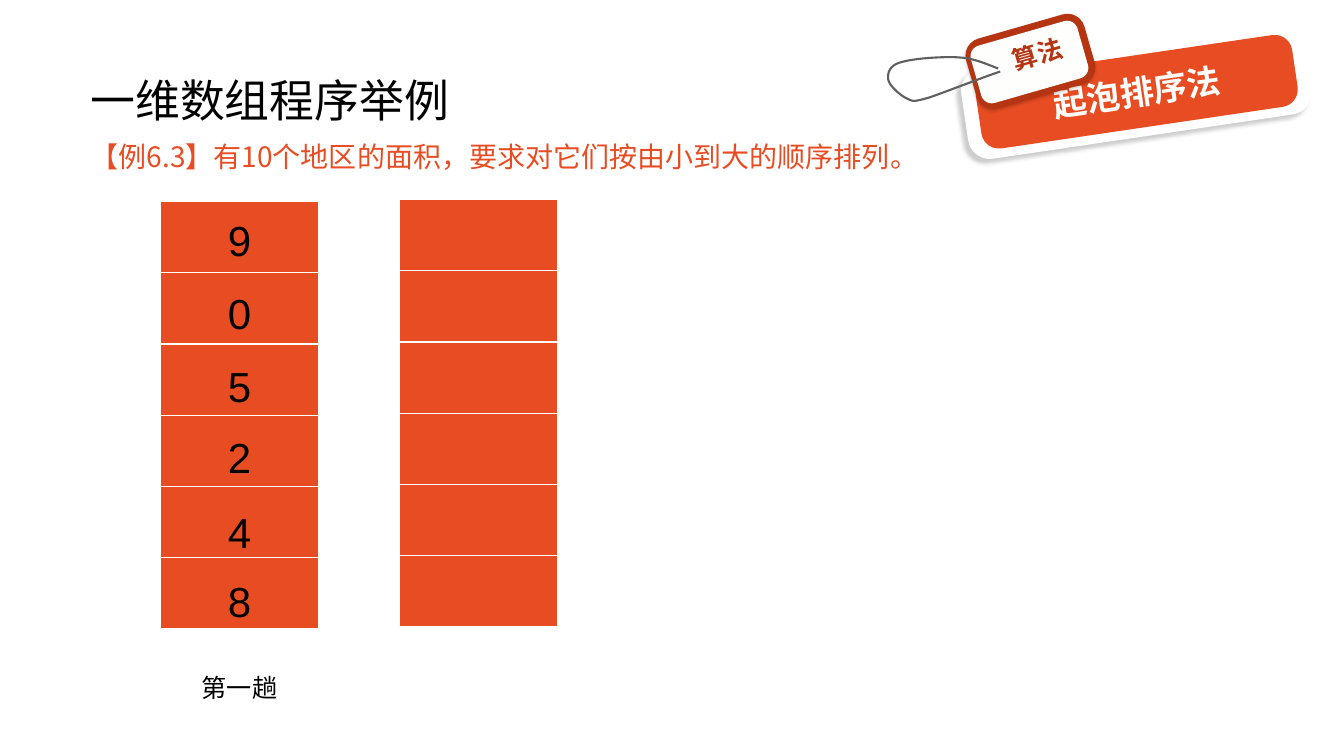
from dataclasses import dataclass
from typing import Optional

from lxml import etree
from pptx import Presentation
from pptx import util as u
from pptx.dml.color import RGBColor
from pptx.enum import shapes, text
from pptx.oxml import ns
from pptx.shapes.autoshape import Shape
from pptx.shapes.shapetree import GroupShapes, SlideShapes
from pptx.text.text import TextFrame

PX = u.Inches(1) // 100
BLACK = RGBColor(0x00, 0x00, 0x00)
WHITE = RGBColor(0xFF, 0xFF, 0xFF)
PAPER = RGBColor(0xFE, 0xFE, 0xFD)
ORANGE = RGBColor(0xE8, 0x4C, 0x22)
RUST = RGBColor(0xB5, 0x35, 0x13)
GREY = RGBColor(0x5F, 0x5F, 0x5F)
HAN = "Noto Sans CJK SC"
LATIN = "Arial"
LEFT, CENTER = text.PP_ALIGN.LEFT, text.PP_ALIGN.CENTER
TOP, MIDDLE = text.MSO_ANCHOR.TOP, text.MSO_ANCHOR.MIDDLE

Box = tuple[int, int, int, int]


@dataclass(frozen=True)
class Words:
    content: str
    size: int
    color: RGBColor
    font: str = HAN
    bold: bool = False
    align: text.PP_ALIGN = CENTER
    anchor: text.MSO_ANCHOR = MIDDLE
    spacing: float = 1.0
    hanging: int = 0


@dataclass(frozen=True)
class Shadow:
    blur: int
    distance: int
    angle: int


@dataclass(frozen=True)
class Plate:
    box: Box
    fill: RGBColor
    rotation: float = 0
    corner: Optional[float] = None
    shadow: Optional[Shadow] = None
    words: Optional[Words] = None
    insets: Box = (0, 0, 0, 0)


TITLE = Words("一维数组程序举例", 32, BLACK, align=LEFT, spacing=0.9)
TASK = Words("【例6.3】有10个地区的面积，要求对它们按由小到大的顺序排列。", 20, ORANGE,
             align=LEFT, anchor=TOP, spacing=1.2, hanging=10)
PASS_NAME = Words("第一趟", 18, BLACK, LATIN, anchor=TOP)
DIGIT_TOPS = {"9": 208, "0": 280, "5": 353, "2": 423, "4": 498, "8": 566}
COLUMNS: list[Box] = [(159, 200, 157, 424), (396, 198, 157, 424)]
CELL_COUNT = 6

BADGE = [
    Plate((955, 46, 344, 90), WHITE, 351.6, 0.242, Shadow(3, 4, 135)),
    Plate((969, 55, 317, 72), ORANGE, 351.6, 0.242,
          words=Words("起泡排序法", 24, PAPER, bold=True)),
    Plate((961, 25, 122, 72), RUST, 344, 0.242, Shadow(2, 1, 100)),
    Plate((966, 32, 110, 59), PAPER, 344, 0.182,
          words=Words("算法", 18, RUST, bold=True), insets=(20, 0, 0, 12)),
    Plate((975, 62, 18, 18), WHITE),
]
STRING_START = (990, 68)
STRING_CURVES = [
    ((979, 64), (967, 58), (951, 57)),
    ((935, 56), (905, 58), (893, 62)),
    ((882, 65), (880, 73), (881, 79)),
    ((882, 85), (893, 95), (900, 98)),
    ((906, 101), (906, 101), (921, 97)),
    ((936, 92), (966, 80), (992, 71)),
]
CURVE_STEPS = 12


def scaled(box: Box) -> list[int]:
    return [length * PX for length in box]


def write(frame: TextFrame, words: Words) -> None:
    frame.word_wrap = True
    frame.vertical_anchor = words.anchor
    paragraph = frame.paragraphs[0]
    paragraph.text = words.content
    paragraph.alignment = words.align
    paragraph.line_spacing = words.spacing
    font = paragraph.font
    font.size = u.Pt(words.size)
    font.bold = words.bold
    font.color.rgb = words.color
    font.name = words.font
    properties = paragraph._p.pPr
    if words.hanging:
        properties.set("marL", str(words.hanging * PX))
        properties.set("indent", str(-words.hanging * PX))
    defaults = properties.find(ns.qn("a:defRPr"))
    etree.SubElement(defaults, ns.qn("a:ea"), typeface=HAN)


def add_words(tree: SlideShapes, box: Box, words: Words, grow: bool = False) -> None:
    frame = tree.add_textbox(*scaled(box)).text_frame
    write(frame, words)
    if grow:
        frame.auto_size = text.MSO_AUTO_SIZE.SHAPE_TO_FIT_TEXT


def cast_shadow(shape: Shape, shadow: Shadow) -> None:
    effects = shape.element.spPr.find(ns.qn("a:effectLst"))
    outer = etree.SubElement(
        effects, ns.qn("a:outerShdw"), blurRad=str(u.Pt(shadow.blur)),
        dist=str(u.Pt(shadow.distance)), dir=str(shadow.angle * 60000),
        algn="ctr", rotWithShape="0")
    color = etree.SubElement(outer, ns.qn("a:srgbClr"), val=str(BLACK))
    etree.SubElement(color, ns.qn("a:alpha"), val="20000")


def add_plate(tree: GroupShapes, plate: Plate) -> None:
    rounded = plate.corner is not None
    kind = shapes.MSO_SHAPE.ROUNDED_RECTANGLE if rounded else shapes.MSO_SHAPE.OVAL
    shape = tree.add_shape(kind, *scaled(plate.box))
    if rounded:
        shape.adjustments[0] = plate.corner
    shape.rotation = plate.rotation
    shape.fill.solid()
    shape.fill.fore_color.rgb = plate.fill
    shape.line.fill.background()
    shape.shadow.inherit = False
    if plate.shadow:
        cast_shadow(shape, plate.shadow)
    if plate.words:
        frame = shape.text_frame
        (frame.margin_left, frame.margin_top,
         frame.margin_right, frame.margin_bottom) = scaled(plate.insets)
        write(frame, plate.words)


def add_string(tree: GroupShapes) -> None:
    points = []
    start = STRING_START
    for first, second, end in STRING_CURVES:
        for step in range(1, CURVE_STEPS + 1):
            t = step / CURVE_STEPS
            s = 1 - t
            points.append(tuple(
                PX * (s**3 * a + 3 * s * s * t * b + 3 * s * t * t * c + t**3 * d)
                for a, b, c, d in zip(start, first, second, end)))
        start = end
    builder = tree.build_freeform(STRING_START[0] * PX, STRING_START[1] * PX)
    builder.add_line_segments(points, close=False)
    string = builder.convert_to_shape()
    string.fill.background()
    string.line.color.rgb = GREY
    string.line.width = u.Pt(1.5)
    string.shadow.inherit = False


def add_column(tree: SlideShapes, box: Box) -> None:
    table = tree.add_table(CELL_COUNT, 1, *scaled(box)).table
    table.first_row = False
    table.horz_banding = False
    for row in table.rows:
        row.height = box[3] * PX // CELL_COUNT
        cell = row.cells[0]
        properties = cell._tc.get_or_add_tcPr()
        for side in ("lnL", "lnR", "lnT", "lnB"):
            border = etree.SubElement(properties, ns.qn(f"a:{side}"), w=str(u.Pt(1)))
            paint = etree.SubElement(border, ns.qn("a:solidFill"))
            etree.SubElement(paint, ns.qn("a:srgbClr"), val=str(WHITE))
        cell.fill.solid()
        cell.fill.fore_color.rgb = ORANGE


def main() -> None:
    deck = Presentation()
    deck.slide_width, deck.slide_height = 1333 * PX, 750 * PX
    tree = deck.slides.add_slide(deck.slide_layouts[6]).shapes
    for column in COLUMNS:
        add_column(tree, column)
    add_words(tree, (80, 30, 1150, 145), TITLE)
    add_words(tree, (80, 127, 1150, 66), TASK)
    badge = tree.add_group_shape().shapes
    for plate in BADGE:
        add_plate(badge, plate)
    add_string(badge)
    for digit, top in DIGIT_TOPS.items():
        add_words(tree, (208, top, 59, 61), Words(digit, 30, BLACK, LATIN, anchor=TOP), grow=True)
    add_words(tree, (163, 662, 149, 41), PASS_NAME, grow=True)
    deck.save("out.pptx")


if __name__ == "__main__":
    main()
